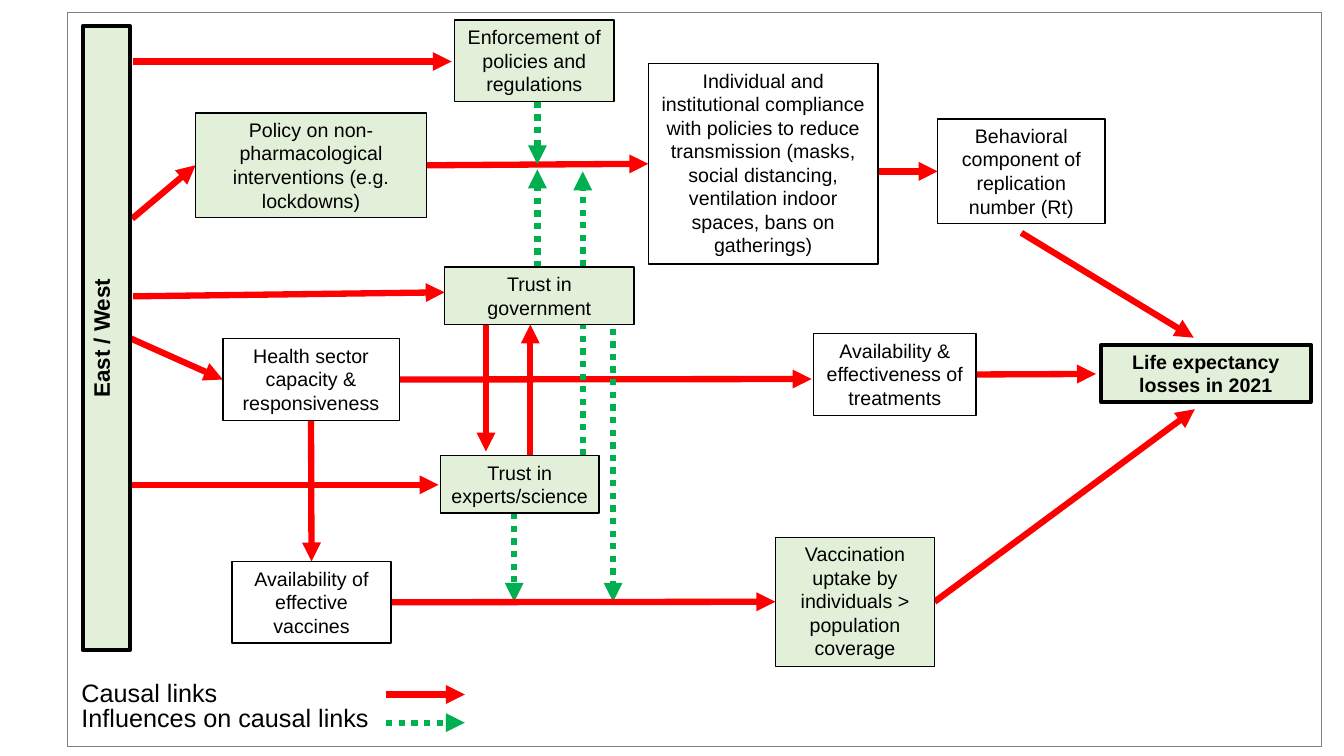
from dataclasses import dataclass

import pptx
import pptx.util
from lxml import etree
from pptx.dml.color import RGBColor
from pptx.enum.dml import MSO_LINE_DASH_STYLE
from pptx.enum.shapes import MSO_CONNECTOR, MSO_SHAPE
from pptx.enum.text import MSO_ANCHOR, MSO_AUTO_SIZE, PP_ALIGN
from pptx.oxml.ns import qn
from pptx.util import Inches, Pt

FONT = "Arial"
BLACK, GRAY = "000000", "808080"
PALE_GREEN, RED, GREEN = "E2F0D9", "FF0000", "00B050"
TOP, LEFT, BOTTOM, RIGHT = range(4)


@dataclass
class Box:
    text: str
    left: float
    top: float
    width: float
    height: float
    fill: str | None = None
    border: float = 1
    size: int = 14
    bold: bool = False
    vertical: bool = False

    def side(self, site: int) -> tuple[float, float]:
        """Middle of one side, numbered as connection sites are."""
        dx, dy = ((0.5, 0), (0, 0.5), (0.5, 1), (1, 0.5))[site]
        return self.left + dx * self.width, self.top + dy * self.height


@dataclass
class Link:
    """Each end is a point (x, y) or a pair (box name, side)."""
    start: tuple
    end: tuple
    influence: bool = False


BOXES = {
    "region": Box("East / West", 0.82, 0.26, 0.47, 6.19, PALE_GREEN, 2.75, 16, True, True),
    "enforcement": Box("Enforcement of policies and regulations",
                       4.51, 0.2, 1.58, 0.81, PALE_GREEN),
    "policy": Box("Policy on non-pharmacological interventions (e.g. lockdowns)",
                  1.94, 1.12, 2.29, 1.04, PALE_GREEN),
    "compliance": Box("Individual and institutional compliance with policies to reduce "
                      "transmission (masks, social distancing, ventilation indoor spaces, "
                      "bans on gatherings)", 6.43, 0.63, 2.28, 1.99),
    "behavior": Box("Behavioral component of replication number (Rt)", 9.3, 1.18, 1.66, 1.04),
    "government": Box("Trust in government", 4.41, 2.65, 1.88, 0.57, PALE_GREEN),
    "health": Box("Health sector capacity & responsiveness", 2.21, 3.36, 1.75, 0.81),
    "treatments": Box("Availability & effectiveness of treatments", 8.07, 3.31, 1.61, 0.81),
    "losses": Box("Life expectancy losses in 2021",
                  10.92, 3.42, 2.08, 0.57, PALE_GREEN, 2.75, bold=True),
    "experts": Box("Trust in experts/science", 4.37, 4.52, 1.57, 0.57, PALE_GREEN),
    "vaccines": Box("Availability of effective vaccines", 2.3, 5.57, 1.58, 0.81),
    "uptake": Box("Vaccination uptake by individuals > population coverage",
                  7.69, 5.33, 1.58, 1.28, PALE_GREEN),
}

LINKS = [
    # From East / West
    Link((1.32, 0.61), (4.48, 0.61)),
    Link((1.31, 2.17), ("policy", LEFT)),
    Link((1.32, 2.94), (4.41, 2.9)),
    Link(("region", RIGHT), ("health", LEFT)),
    Link((1.31, 4.81), (4.35, 4.81)),
    # Between factors
    Link(("policy", RIGHT), ("compliance", LEFT)),
    Link((8.71, 1.7), ("behavior", LEFT)),
    Link(("health", BOTTOM), ("vaccines", TOP)),
    Link(("health", RIGHT), (8.05, 3.76)),
    Link((4.82, 3.04), (4.82, 4.48)),
    Link((5.26, 4.52), (5.26, 3.22)),
    # To life expectancy losses
    Link((10.13, 2.31), (11.84, 3.35)),
    Link(("treatments", RIGHT), (10.87, 3.71)),
    Link(("uptake", RIGHT), (11.85, 4.06)),
    # Influences on causal links
    Link((5.33, 1.01), (5.33, 1.63), True),
    Link((5.33, 2.65), (5.33, 1.68), True),
    Link((5.78, 4.52), (5.78, 1.7), True),
    Link((6.08, 3.01), (6.08, 5.97), True),
    Link((5.1, 5.09), (5.1, 5.97), True),
    Link(("vaccines", RIGHT), ("uptake", LEFT)),
    # Legend
    Link((3.83, 6.89), (4.61, 6.89)),
    Link((3.83, 7.17), (4.61, 7.17), True),
]


def rgb(color: str) -> RGBColor:
    return RGBColor.from_string(color)


def write(tf, text: str, size: int, align: PP_ALIGN, bold: bool = False) -> None:
    tf.text = text
    tf.word_wrap = True
    tf.auto_size = MSO_AUTO_SIZE.SHAPE_TO_FIT_TEXT
    tf.vertical_anchor = MSO_ANCHOR.TOP
    p = tf.paragraphs[0]
    p.alignment = align
    font = p.runs[0].font
    font.name, font.size, font.bold = FONT, Pt(size), bold
    font.color.rgb = rgb(BLACK)


def add_rect(shapes, box: Box, line: str = BLACK):
    s = shapes.add_shape(MSO_SHAPE.RECTANGLE, Inches(box.left), Inches(box.top),
                         Inches(box.width), Inches(box.height))
    s.shadow.inherit = False
    if box.fill:
        s.fill.solid()
        s.fill.fore_color.rgb = rgb(box.fill)
    else:
        s.fill.background()
    s.line.color.rgb = rgb(line)
    s.line.width = Pt(box.border)
    if box.text:
        write(s.text_frame, box.text, box.size, PP_ALIGN.CENTER, box.bold)
    if box.vertical:
        s.element.find(".//" + qn("a:bodyPr")).set("vert", "vert270")
    return s


def locate(end: tuple) -> tuple[float, float]:
    return BOXES[end[0]].side(end[1]) if end[0] in BOXES else end


def add_arrow(shapes, link: Link):
    points = [Inches(v) for end in (link.start, link.end) for v in locate(end)]
    c = shapes.add_connector(MSO_CONNECTOR.STRAIGHT, *points)
    c.line.color.rgb = rgb(GREEN if link.influence else RED)
    c.line.width = Pt(4.5)
    if link.influence:
        c.line.dash_style = MSO_LINE_DASH_STYLE.ROUND_DOT  # stored as sysDot
    spPr = c.element.spPr
    etree.SubElement(spPr.find(qn("a:ln")), qn("a:tailEnd"), type="triangle")
    etree.SubElement(spPr, qn("a:effectLst"))
    return c


def main() -> None:
    prs = pptx.Presentation()
    prs.slide_width, prs.slide_height = Inches(13.33), Inches(7.5)
    shapes = prs.slides.add_slide(prs.slide_layouts[6]).shapes

    # Frame
    add_rect(shapes, Box("", 0.67, 0.12, 12.44, 7.28, border=0.5), GRAY)

    # Arrows lie behind the boxes they pass
    arrows = [add_arrow(shapes, link) for link in LINKS]
    rects = {name: add_rect(shapes, box) for name, box in BOXES.items()}

    # Join arrows to the boxes
    for link, c in zip(LINKS, arrows):
        for end, connect in ((link.start, c.begin_connect), (link.end, c.end_connect)):
            if end[0] in rects:
                connect(rects[end[0]], end[1])

    # Legend captions
    for text, top, width in (("Causal links", 6.67, 1.72),
                             ("Influences on causal links", 6.92, 3.25)):
        s = shapes.add_textbox(Inches(0.71), Inches(top), Inches(width), Inches(0.4))
        write(s.text_frame, text, 18, PP_ALIGN.LEFT)

    prs.save("out.pptx")


if __name__ == "__main__":
    main()
